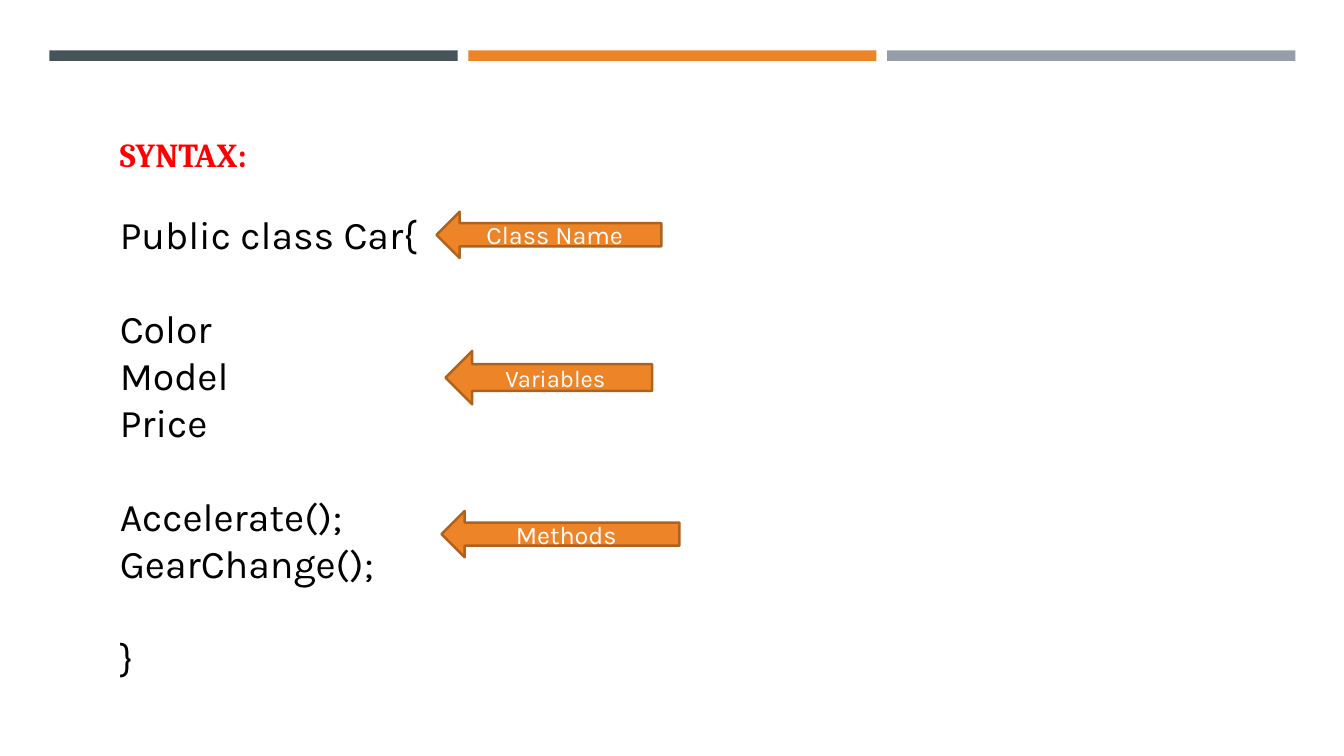
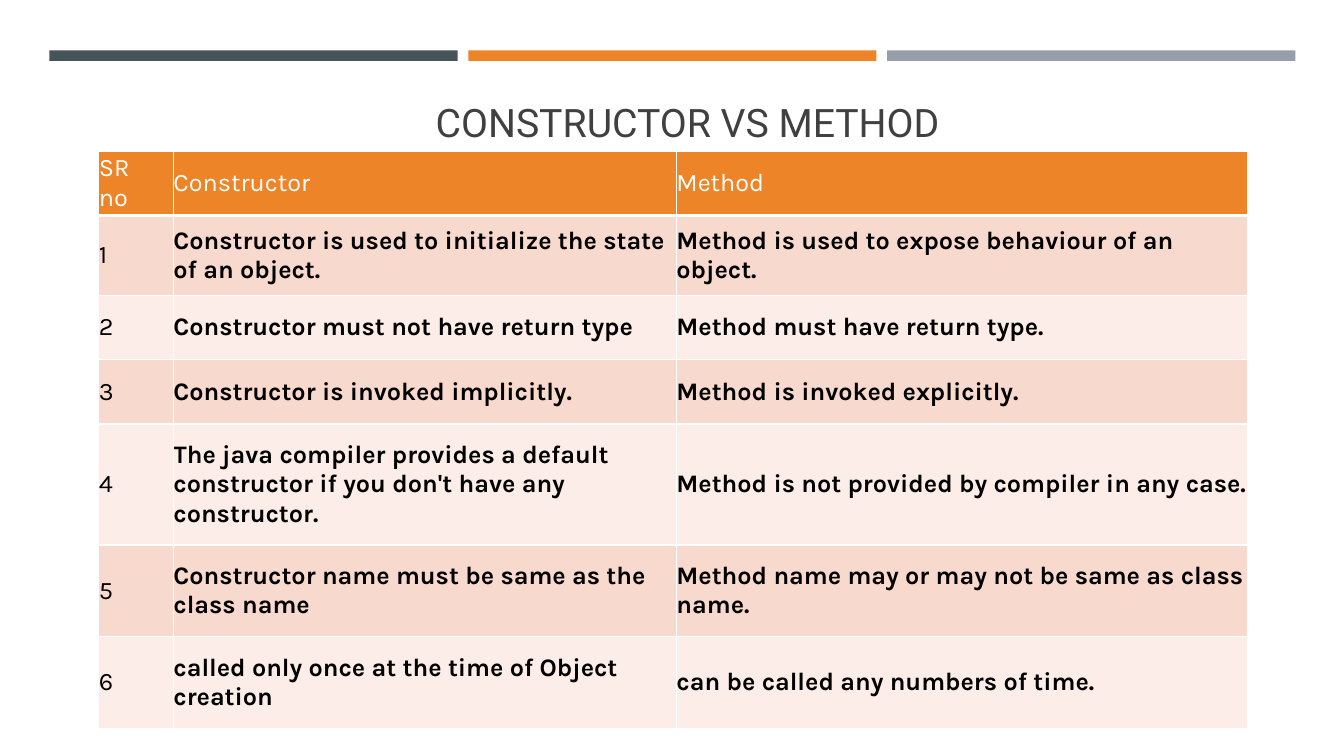
from dataclasses import dataclass

from lxml import etree
from pptx import Presentation
from pptx.dml.color import RGBColor
from pptx.enum.shapes import MSO_SHAPE
from pptx.enum.text import MSO_ANCHOR, MSO_AUTO_SIZE, PP_ALIGN
from pptx.oxml.ns import qn
from pptx.util import Pt

LEFT, CENTER = PP_ALIGN.LEFT, PP_ALIGN.CENTER
TOP, MIDDLE, BOTTOM = MSO_ANCHOR.TOP, MSO_ANCHOR.MIDDLE, MSO_ANCHOR.BOTTOM
RECTANGLE, LEFT_ARROW = MSO_SHAPE.RECTANGLE, MSO_SHAPE.LEFT_ARROW
NO_AUTOFIT = MSO_AUTO_SIZE.NONE
TITLE_ONLY = 5


@dataclass(frozen=True)
class Theme:
    slate: str = "465359"
    orange: str = "ED8428"
    gray: str = "969FA7"
    rust: str = "AF621E"
    red: str = "FF0000"
    ink: str = "000000"
    title_ink: str = "404040"
    white: str = "FFFFFF"
    row_dark: str = "F8D9CD"
    row_light: str = "FCEDE8"
    body_font: str = "Karla"
    title_font: str = "Roboto"
    syntax_font: str = "Cambria"
    title_size: int = 28
    syntax_size: int = 24
    code_size: int = 28
    body_size: int = 18
    small_size: int = 17


THEME = Theme()

# Content: code lines in groups, with a blank line's height between groups
SYNTAX_TITLE = "SYNTAX:"
CODE_GROUPS = [
    ["Public class Car{"],
    ["Color", "Model", "Price"],
    ["Accelerate();", "GearChange();"],
    ["}"],
]
CODE_GAP = 33.5
# label, type size, (left, top, width, height)
ARROWS = [
    ("Class Name", THEME.body_size, (311.8, 151.2, 160.6, 33.1)),
    ("Variables", THEME.small_size, (318.2, 250.6, 147.6, 38.2)),
    ("Methods", THEME.body_size, (315.4, 365, 169.9, 33.1)),
]

COMPARISON_TITLE = "CONSTRUCTOR VS METHOD"
HEADERS = ("SR\nno", "Constructor", "Method")
# constructor, method, row height
COMPARISON = [
    ("Constructor is used to initialize the state of an object.",
     "Method is used to expose behaviour of an object.", 56.9),
    ("Constructor must not have return type",
     "Method must have return type.", 46),
    ("Constructor is invoked implicitly.",
     "Method is invoked explicitly.", 46),
    ("The java compiler provides a default constructor if you don't have any constructor.",
     "Method is not provided by compiler in any case.", 86.4),
    ("Constructor name must be same as the class name",
     "Method name may or may not be same as class name.", 65.5),
    ("called only once at the time of Object creation",
     "can be called any numbers of time.", 65.5),
]
HEADER_HEIGHT = 46
COLUMN_WIDTHS = (53.3, 359.3, 408.2)
TABLE_LEFT, TABLE_TOP = 70.6, 108

# Shared bands
BAND_COLORS = (THEME.slate, THEME.orange, THEME.gray)
BAND_LEFT, BAND_TOP, BAND_WIDTH, BAND_HEIGHT, BAND_GAP = 35.3, 36, 291.6, 7.5, 7.6


def points(values):
    return [Pt(value) for value in values]


def style(para, size, color, font=THEME.body_font, bold=False, align=LEFT):
    para.alignment = align
    para.font.name = font
    para.font.size = Pt(size)
    para.font.bold = bold
    para.font.color.rgb = RGBColor.from_string(color)


def add_filled_shape(page, kind, place, fill, line=None):
    shape = page.shapes.add_shape(kind, *points(place))
    shape.shadow.inherit = False
    shape.fill.solid()
    shape.fill.fore_color.rgb = RGBColor.from_string(fill)
    if line:
        shape.line.color.rgb = RGBColor.from_string(line)
        shape.line.width = Pt(1.75)
    else:
        shape.line.fill.background()
    return shape


def set_title(page, text, place, anchor, **look):
    title = page.shapes.title
    title.left, title.top, title.width, title.height = points(place)
    frame = title.text_frame
    frame.text = text
    frame.word_wrap = True
    frame.auto_size = NO_AUTOFIT
    frame.vertical_anchor = anchor
    style(frame.paragraphs[0], **look)


def add_bands_to_layout(page):
    """Draw the bands once and hand them to the layout behind every page."""
    layout_tree = page.slide_layout.shapes.element
    for index, color in enumerate(BAND_COLORS):
        left = BAND_LEFT + index * (BAND_WIDTH + BAND_GAP)
        band = add_filled_shape(page, RECTANGLE,
                                (left, BAND_TOP, BAND_WIDTH, BAND_HEIGHT), color)
        layout_tree.append(band.element)


def add_code(page):
    box = page.shapes.add_textbox(*points((78.5, 146.4, 263.5, 343)))
    frame = box.text_frame
    frame.word_wrap = True
    frame.text = "\n".join(line for group in CODE_GROUPS for line in group)
    paragraphs = iter(frame.paragraphs)
    for group_index, group in enumerate(CODE_GROUPS):
        for line_index in range(len(group)):
            para = next(paragraphs)
            style(para, THEME.code_size, THEME.ink)
            if group_index and line_index == 0:
                para.space_before = Pt(CODE_GAP)


def add_arrow(page, label, size, place):
    arrow = add_filled_shape(page, LEFT_ARROW, place, THEME.orange, THEME.rust)
    frame = arrow.text_frame
    frame.text = label
    frame.vertical_anchor = MIDDLE
    style(frame.paragraphs[0], size, THEME.white, align=CENTER)


def set_borders(cell, widths):
    properties = cell._tc.get_or_add_tcPr()
    for index, (side, width) in enumerate(widths.items()):
        line = etree.Element(qn(f"a:ln{side}"), w=str(Pt(width)))
        fill = etree.SubElement(line, qn("a:solidFill"))
        etree.SubElement(fill, qn("a:srgbClr"), val=THEME.white)
        properties.insert(index, line)


def fill_cell(cell, text, fill, color, bold, borders):
    cell.text = text
    cell.vertical_anchor = MIDDLE
    cell.margin_left = cell.margin_right = cell.margin_top = cell.margin_bottom = 0
    cell.fill.solid()
    cell.fill.fore_color.rgb = RGBColor.from_string(fill)
    for para in cell.text_frame.paragraphs:
        style(para, THEME.body_size, color, bold=bold)
    set_borders(cell, borders)


def add_comparison(page):
    rows = [HEADERS] + [(str(number), constructor, method)
                        for number, (constructor, method, _) in enumerate(COMPARISON, 1)]
    heights = [HEADER_HEIGHT] + [height for _, _, height in COMPARISON]
    place = (TABLE_LEFT, TABLE_TOP, sum(COLUMN_WIDTHS), sum(heights))
    table = page.shapes.add_table(len(rows), len(HEADERS), *points(place)).table
    table.horz_banding = False
    for column, width in zip(table.columns, COLUMN_WIDTHS):
        column.width = Pt(width)
    for row_index, (texts, height) in enumerate(zip(rows, heights)):
        table.rows[row_index].height = Pt(height)
        is_header = row_index == 0
        band = THEME.row_dark if row_index % 2 else THEME.row_light
        borders = {"L": 1, "R": 1,
                   "T": 3 if row_index == 1 else 1,
                   "B": 3 if is_header else 1}
        for column_index, text in enumerate(texts):
            fill_cell(table.cell(row_index, column_index), text,
                      fill=THEME.orange if is_header else band,
                      color=THEME.white if is_header else THEME.ink,
                      bold=not is_header and column_index > 0,
                      borders=borders)


def build_syntax_page(page):
    set_title(page, SYNTAX_TITLE, (78.5, 92.2, 263.5, 40), TOP,
              size=THEME.syntax_size, color=THEME.red,
              font=THEME.syntax_font, bold=True)
    add_code(page)
    for arrow in ARROWS:
        add_arrow(page, *arrow)


def build_comparison_page(page):
    set_title(page, COMPARISON_TITLE, (56.9, 13.7, 868.3, 93.6), BOTTOM,
              size=THEME.title_size, color=THEME.title_ink,
              font=THEME.title_font, align=CENTER)
    add_comparison(page)


def main():
    deck = Presentation()
    deck.slide_width, deck.slide_height = Pt(960), Pt(540)
    layout = deck.slide_layouts[TITLE_ONLY]
    syntax_page = deck.slides.add_slide(layout)
    add_bands_to_layout(syntax_page)
    build_syntax_page(syntax_page)
    build_comparison_page(deck.slides.add_slide(layout))
    deck.save("out.pptx")


if __name__ == "__main__":
    main()
